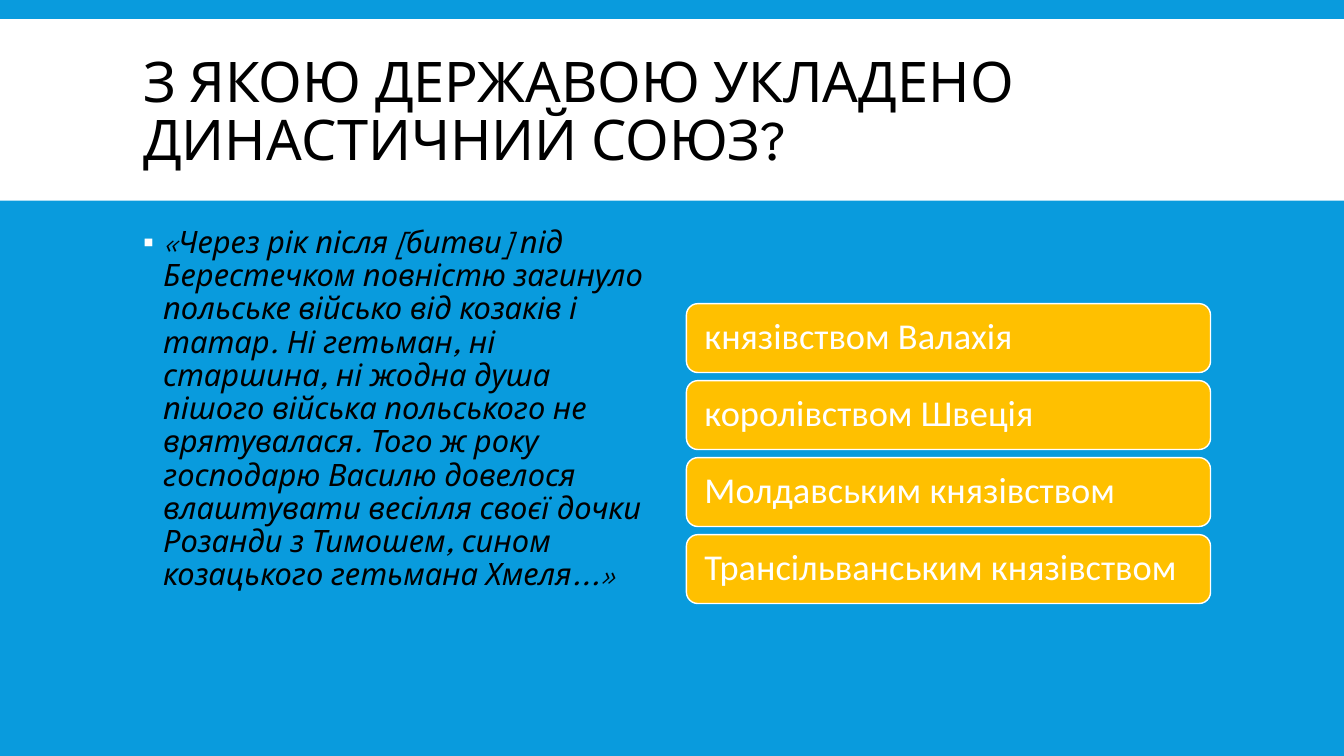
from pptx import Presentation
from pptx.dml.color import RGBColor
from pptx.enum import shapes, text
from pptx.oxml import parse_xml
from pptx.oxml.ns import nsdecls
from pptx.util import Pt

TITLE = "З ЯКОЮ ДЕРЖАВОЮ УКЛАДЕНО ДИНАСТИЧНИЙ СОЮЗ?"
QUOTE = (
    "«Через рік після [битви] під Берестечком повністю загинуло польське "
    "військо від козаків і татар. Ні гетьман, ні старшина, ні жодна душа "
    "пішого війська польського не врятувалася. Того ж року господарю Василю "
    "довелося влаштувати весілля своєї дочки Розанди з Тимошем, сином "
    "козацького гетьмана Хмеля...»"
)
ANSWERS = [
    "князівством Валахія",
    "королівством Швеція",
    "Молдавським князівством",
    "Трансільванським князівством",
]


def color(value):
    return RGBColor.from_string(value)


class Deck:
    blue, white, black, amber = "099BDD", "FFFFFF", "000000", "FFC000"
    head_font, answer_font = "League Spartan", "Calibri"

    def __init__(self):
        self.prs = Presentation()
        self.prs.slide_width, self.prs.slide_height = Pt(960), Pt(540)
        self.s = self.prs.slides.add_slide(self.prs.slide_layouts[1])
        fill = self.s.background.fill
        fill.solid()
        fill.fore_color.rgb = color(self.blue)

    def place(self, sp, x, y, w, h):
        sp.left, sp.top, sp.width, sp.height = Pt(x), Pt(y), Pt(w), Pt(h)

    def set_text(self, sp, words, font, size, ink, spacing, anchor,
                 italic=False):
        tf = sp.text_frame
        tf.text = words
        tf.word_wrap = True
        tf.auto_size = text.MSO_AUTO_SIZE.NONE
        tf.vertical_anchor = anchor
        p = tf.paragraphs[0]
        p.alignment = text.PP_ALIGN.LEFT
        p.line_spacing = spacing
        p.space_before = Pt(0)
        r = p.runs[0]
        r.font.name, r.font.size, r.font.italic = font, Pt(size), italic
        r.font.color.rgb = color(ink)
        return p

    def title(self, words, *box):
        sp = self.s.shapes.title
        self.place(sp, *box)
        self.set_text(sp, words, self.head_font, 40, self.black, 0.85,
                      text.MSO_ANCHOR.MIDDLE)

    def body(self, words, *box):
        sp = self.s.placeholders[1]
        self.place(sp, *box)
        p = self.set_text(sp, words, self.head_font, 22, self.black, 0.9,
                          text.MSO_ANCHOR.TOP, italic=True)
        p.space_after = Pt(2)
        # Square white bullet with a hanging indent
        pPr = p._p.get_or_add_pPr()
        pPr.set("marL", str(Pt(14.4)))
        pPr.set("indent", str(Pt(-14.4)))
        ns = nsdecls("a")
        pPr.append(parse_xml(
            f'<a:buClr {ns}><a:srgbClr val="{self.white}"/></a:buClr>'))
        pPr.append(parse_xml(f'<a:buChar {ns} char="▪"/>'))

    def shape(self, kind, fill, *box):
        sp = self.s.shapes.add_shape(kind, *map(Pt, box))
        sp.shadow.inherit = False
        sp.fill.solid()
        sp.fill.fore_color.rgb = color(fill)
        sp.line.fill.background()
        return sp

    def band(self, *box):
        sp = self.shape(shapes.MSO_SHAPE.RECTANGLE, self.white, *box)
        # The band lies behind the placeholders
        self.s.shapes._spTree.insert(2, sp._element)

    def answer(self, words, *box):
        sp = self.shape(shapes.MSO_SHAPE.ROUNDED_RECTANGLE, self.amber, *box)
        sp.line.color.rgb = color(self.white)
        sp.line.width = Pt(1)
        sp.text_frame.margin_left = sp.text_frame.margin_right = Pt(10.5)
        self.set_text(sp, words, self.answer_font, 26, self.white, 0.9,
                      text.MSO_ANCHOR.MIDDLE)


def main():
    deck = Deck()

    # Heading
    deck.band(0, 13.7, 960, 129.6)
    deck.title(TITLE, 95, 22.3, 770.4, 118.8)

    # Quotation
    deck.body(QUOTE, 95, 158.4, 374.4, 331.2)

    # Answer choices
    for i, words in enumerate(ANSWERS):
        deck.answer(words, 490.3, 216.9 + 55 * i, 374.4, 49.2)

    deck.prs.save("out.pptx")


if __name__ == "__main__":
    main()
